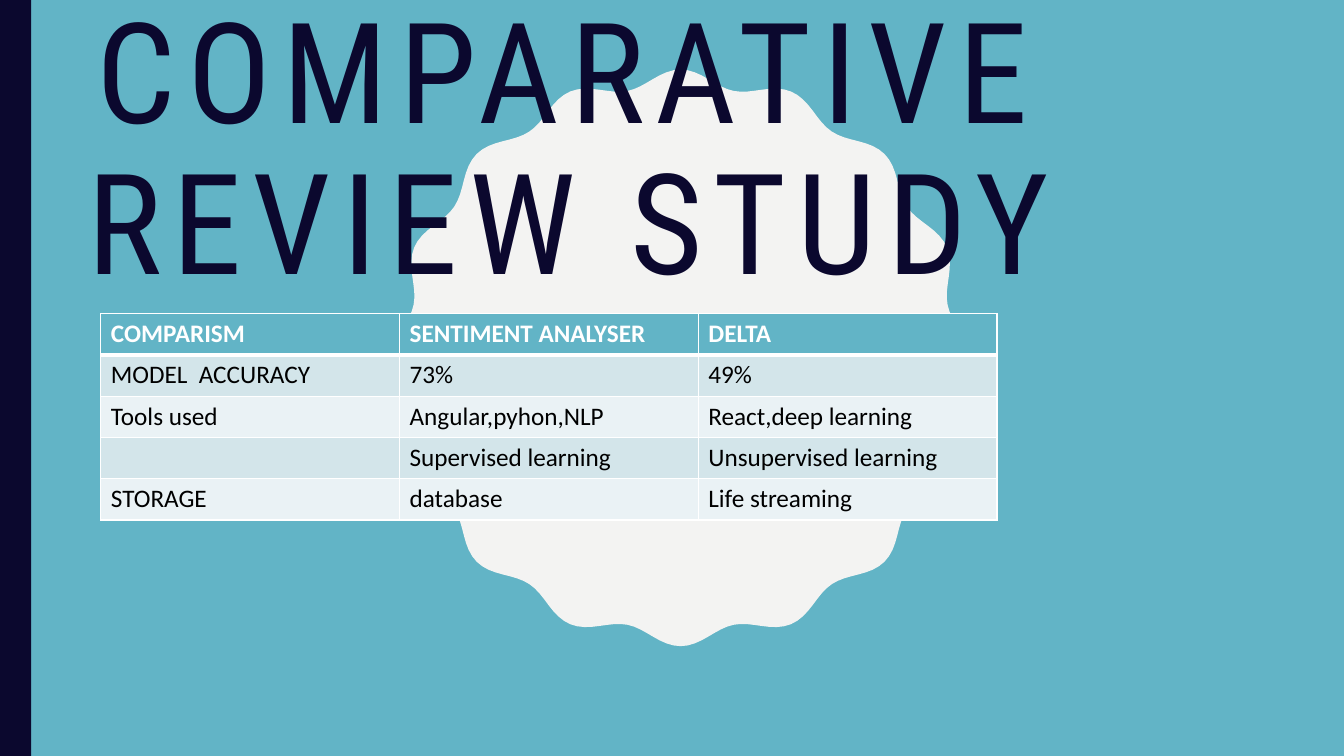
from math import cos, pi, sin

from pptx import Presentation
from pptx.dml.color import RGBColor
from pptx.enum.shapes import MSO_SHAPE as Shape
from pptx.enum.text import MSO_ANCHOR as Anchor, MSO_AUTO_SIZE as AutoSize, PP_ALIGN as Align
from pptx.oxml.ns import qn
from pptx.util import Inches, Pt
from lxml.etree import SubElement

TEAL = RGBColor(0x62, 0xB4, 0xC6)
NAVY = RGBColor(0x0B, 0x08, 0x2E)
CREAM = RGBColor(0xF3, 0xF3, 0xF2)
WHITE = RGBColor(0xFF, 0xFF, 0xFF)
BLACK = RGBColor(0, 0, 0)
BANDS = [RGBColor(0xD3, 0xE5, 0xEA), RGBColor(0xEA, 0xF2, 0xF5)]

ROWS = [
    ["COMPARISM", "SENTIMENT ANALYSER", "DELTA"],
    ["MODEL  ACCURACY", "73%", "49%"],
    ["Tools used", "Angular,pyhon,NLP", "React,deep learning"],
    ["", "Supervised learning", "Unsupervised learning"],
    ["STORAGE", "database", "Life streaming"],
]


def apply(target, formats):
    for name, value in formats.items():
        setattr(target, name, value)


def paint(shape, color):
    shape.shadow.inherit = False
    shape.fill.solid()
    shape.fill.fore_color.rgb = color
    shape.line.fill.background()


def add_seal(page, left, top, size, waves=16, steps=256):
    depth = 0.08
    middle = size / 2
    points = []
    for step in range(steps):
        angle = 2 * pi * step / steps
        radius = middle - depth + depth * cos(waves * angle)
        points.append((Inches(left + middle + radius * sin(angle)),
                       Inches(top + middle - radius * cos(angle))))
    builder = page.shapes.build_freeform(*points[0])
    builder.add_line_segments(points[1:], close=True)
    paint(builder.convert_to_shape(), CREAM)


def add_side_bar(page, left, top, width, height):
    box = [Inches(value) for value in (left, top, width, height)]
    paint(page.shapes.add_shape(Shape.RECTANGLE, *box), NAVY)


def place_title(page, text, left, top, width, height):
    title = page.shapes.title
    page.shapes._spTree.append(title._element)
    apply(title, {"left": Inches(left), "top": Inches(top),
                  "width": Inches(width), "height": Inches(height)})
    apply(title.text_frame, {"text": text, "word_wrap": True,
                             "auto_size": AutoSize.NONE,
                             "vertical_anchor": Anchor.MIDDLE})
    para = title.text_frame.paragraphs[0]
    apply(para, {"alignment": Align.CENTER, "line_spacing": 0.9})
    span = para.runs[0]
    apply(span.font, {"name": "Roboto Condensed", "size": Pt(100), "bold": False})
    span.font.color.rgb = NAVY
    span.font._element.set("spc", "800")


def add_borders(cell, widths):
    properties = cell._tc.get_or_add_tcPr()
    for side, width in widths.items():
        line = SubElement(properties, qn(f"a:ln{side}"), w=str(Pt(width)))
        fill = SubElement(line, qn("a:solidFill"))
        SubElement(fill, qn("a:srgbClr"), val=str(WHITE))


def add_comparison(page, rows, left, top, width, row_height):
    table = page.shapes.add_table(
        len(rows), len(rows[0]), Inches(left), Inches(top),
        Inches(width), Inches(row_height * len(rows))).table
    for index, texts in enumerate(rows):
        header = index == 0
        table.rows[index].height = Inches(row_height)
        for column, text in enumerate(texts):
            cell = table.cell(index, column)
            add_borders(cell, {"L": 1, "R": 1, "T": 3 if index == 1 else 1,
                               "B": 3 if header else 1})
            cell.fill.solid()
            cell.fill.fore_color.rgb = TEAL if header else BANDS[(index - 1) % 2]
            cell.text = text
            font = cell.text_frame.paragraphs[0].font
            apply(font, {"name": "Calibri", "size": Pt(18), "bold": header})
            font.color.rgb = WHITE if header else BLACK


def build_comparison_slide(deck):
    page = deck.slides.add_slide(deck.slide_layouts[5])
    page.background.fill.solid()
    page.background.fill.fore_color.rgb = TEAL
    add_seal(page, 3.89, 0.69, 5.72)
    add_side_bar(page, 0, 0, 0.31, 7.5)
    place_title(page, "COMPARATIVE REVIEW STUDY", 0, 1.3, 11.28, 0.45)
    add_comparison(page, ROWS, 1, 3.11, 8.89, 0.41)


def main():
    deck = Presentation()
    apply(deck, {"slide_width": Inches(13.33), "slide_height": Inches(7.5)})
    build_comparison_slide(deck)
    deck.save("out.pptx")


if __name__ == "__main__":
    main()
